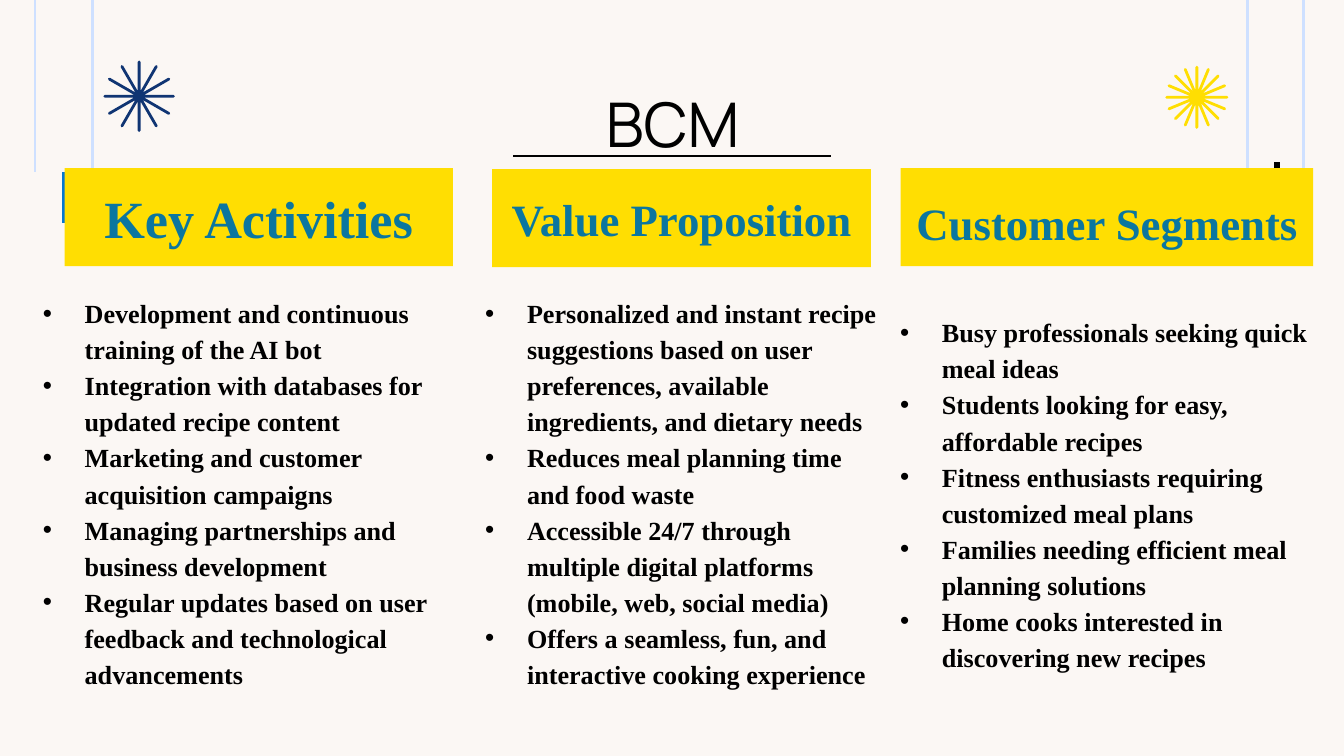
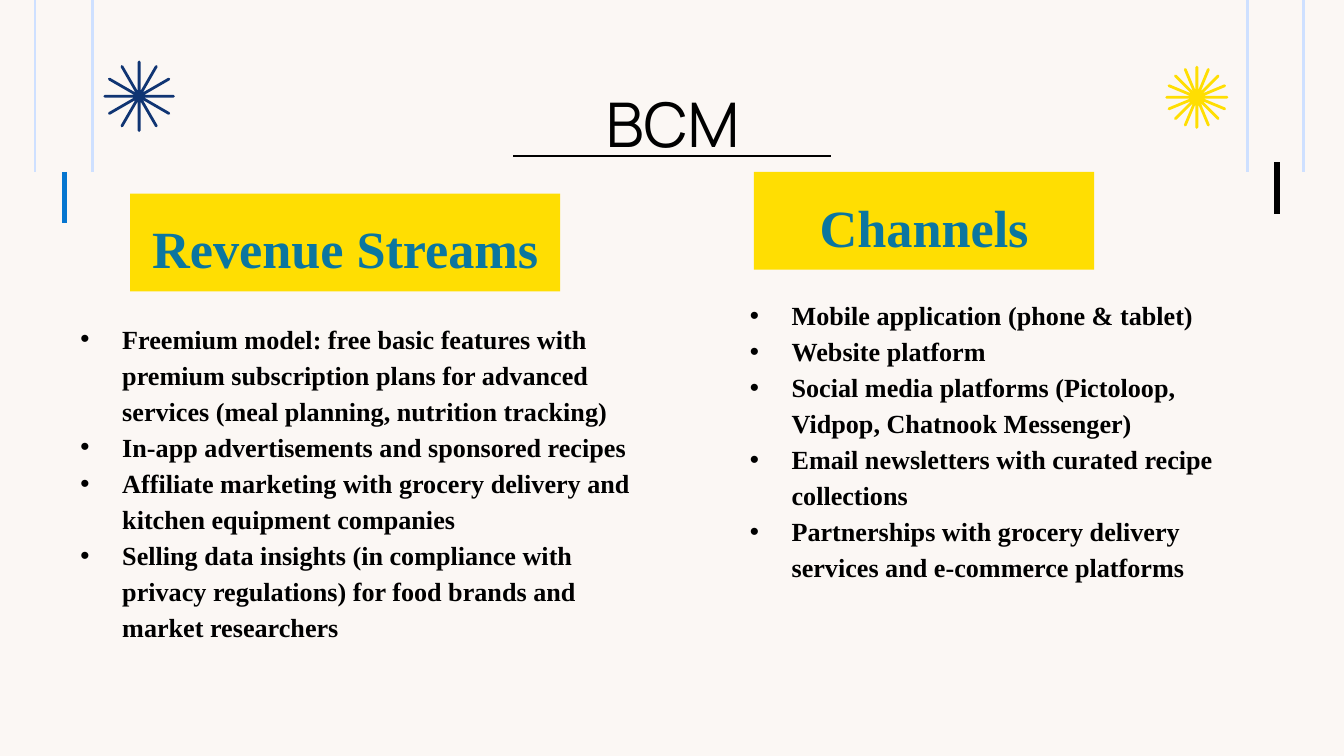
from dataclasses import dataclass

from lxml import etree
from pptx import Presentation
from pptx import util as u
from pptx.dml import color
from pptx.enum import shapes, text
from pptx.oxml import ns


@dataclass(frozen=True)
class Theme:
    paper: str = "FBF7F4"
    ink: str = "000000"
    yellow: str = "FFDE02"
    teal: str = "0B769F"
    navy: str = "103573"
    blue: str = "0676D0"
    pale: str = "CEE0FF"
    sans: str = "Manrope"
    serif: str = "Times New Roman"
    title: int = 33
    head: int = 28
    small: int = 24
    body: int = 14
    thin: float = 1.5
    thick: float = 3


def rgb(code):
    return color.RGBColor.from_string(code)


class Deck:
    def __init__(self, theme):
        self.theme = theme
        self.prs = Presentation()
        self.prs.slide_width, self.prs.slide_height = u.Cm(25.4), u.Cm(14.29)
        fill = self.prs.slide_master.background.fill
        fill.solid()
        fill.fore_color.rgb = rgb(theme.paper)

    def page(self, title):
        """Start a slide with the title and shared ornaments."""
        t = self.theme
        layout = self.prs.slide_layouts.get_by_name("Comparison")
        self.slide = self.prs.slides.add_slide(layout)
        self.free = [ph for ph in self.slide.placeholders
                     if ph.placeholder_format.idx > 0]
        # Side rails and accents
        for x in (0.66, 1.75, 23.57, 24.64):
            self.line(x, 0, x, 3.25, t.pale, t.thin)
        self.line(24.13, 3.07, 24.13, 4.04, t.ink, t.thick)
        self.line(1.22, 3.25, 1.22, 4.22, t.blue, t.thick)
        # Title and its rule
        self.title(title)
        self.line(9.7, 2.95, 15.7, 2.95, t.ink, t.thin)
        # Starbursts
        kind = shapes.MSO_SHAPE
        self.star(kind.STAR_12_POINT, 1.98, 1.17, 1.3, t.navy)
        self.star(kind.STAR_16_POINT, 22.05, 1.27, 1.14, t.yellow)

    def place(self, shape, x, y, w, h):
        shape.left, shape.top = u.Cm(x), u.Cm(y)
        shape.width, shape.height = u.Cm(w), u.Cm(h)

    def frame(self, shape, anchor, side, top, base):
        frame = shape.text_frame
        frame.word_wrap = True
        frame.auto_size = text.MSO_AUTO_SIZE.NONE
        frame.vertical_anchor = anchor
        frame.margin_left = frame.margin_right = u.Cm(side)
        frame.margin_top, frame.margin_bottom = u.Cm(top), u.Cm(base)
        return frame

    def style(self, para, name, size, ink, bold=False):
        font = para.font
        font.name, font.size, font.bold = name, u.Pt(size), bold
        font.color.rgb = rgb(ink)

    def line(self, x1, y1, x2, y2, ink, width):
        line = self.slide.shapes.add_connector(
            shapes.MSO_CONNECTOR.STRAIGHT,
            u.Cm(x1), u.Cm(y1), u.Cm(x2), u.Cm(y2))
        line.line.color.rgb = rgb(ink)
        line.line.width = u.Pt(width)
        etree.SubElement(line.element.spPr, ns.qn("a:effectLst"))

    def star(self, kind, x, y, size, ink):
        star = self.slide.shapes.add_shape(
            kind, u.Cm(x), u.Cm(y), u.Cm(size), u.Cm(size))
        star.adjustments[0] = 0
        star.shadow.inherit = False
        star.fill.background()
        star.line.color.rgb = rgb(ink)
        star.line.width = u.Pt(self.theme.thin)

    def title(self, words):
        t, shape = self.theme, self.slide.shapes.title
        self.place(shape, 2.01, 1.5, 21.41, 1.42)
        frame = self.frame(shape, text.MSO_ANCHOR.TOP, 0.25, 0.13, 0.25)
        para = frame.paragraphs[0]
        para.text = words
        para.alignment = text.PP_ALIGN.CENTER
        self.style(para, t.sans, t.title, t.ink)

    def head(self, words, x, y, w, size, drop=0):
        """Add a yellow heading band; drop lowers its words."""
        t = self.theme
        band = self.slide.shapes.add_shape(
            shapes.MSO_SHAPE.RECTANGLE, u.Cm(x), u.Cm(y), u.Cm(w), u.Cm(1.85))
        band.shadow.inherit = False
        band.fill.solid()
        band.fill.fore_color.rgb = rgb(t.yellow)
        band.line.fill.background()
        frame = self.frame(band, text.MSO_ANCHOR.MIDDLE, 0.25, 0.25 + drop, 0.25)
        para = frame.paragraphs[0]
        para.text = words
        para.alignment = text.PP_ALIGN.CENTER
        self.style(para, t.serif, size, t.teal, True)

    def list(self, items, x, y, w, h):
        """Fill the next body placeholder with bullets."""
        t, shape = self.theme, self.free.pop(0)
        self.place(shape, x, y, w, h)
        frame = self.frame(shape, text.MSO_ANCHOR.TOP, 0.25, 0.13, 0.13)
        frame.text = "\n".join(items)
        for para in frame.paragraphs:
            self.bullet(para)
            para.alignment = text.PP_ALIGN.LEFT
            para.line_spacing = 1.15
            para.space_before = para.space_after = u.Pt(0)
            self.style(para, t.serif, t.body, t.ink, True)
        para.space_after = u.Pt(10)

    def bullet(self, para):
        props = para._p.get_or_add_pPr()
        props.set("marL", str(u.Cm(0.79)))
        props.set("indent", str(-u.Cm(0.79)))
        tint = etree.SubElement(props, ns.qn("a:buClr"))
        etree.SubElement(tint, ns.qn("a:srgbClr"), val=self.theme.ink)
        etree.SubElement(props, ns.qn("a:buFont"), typeface="Arial")
        etree.SubElement(props, ns.qn("a:buChar"), char="•")

    def close(self):
        """Remove the placeholders left empty."""
        for ph in self.free:
            ph.element.getparent().remove(ph.element)


def main():
    t = Theme()
    deck = Deck(t)

    # Activities, value and customers
    deck.page("BCM")
    deck.head("Key Activities", 1.22, 3.18, 7.34, t.head)
    deck.list([
        "Development and continuous training of the AI bot",
        "Integration with databases for updated recipe content",
        "Marketing and customer acquisition campaigns",
        "Managing partnerships and business development",
        "Regular updates based on user feedback and technological advancements",
    ], 0.56, 5.41, 8.81, 7.77)
    deck.head("Value Proposition", 9.3, 3.2, 7.16, t.small)
    deck.list([
        "Personalized and instant recipe suggestions based on user "
        "preferences, available ingredients, and dietary needs",
        "Reduces meal planning time and food waste",
        "Accessible 24/7 through multiple digital platforms "
        "(mobile, web, social media)",
        "Offers a seamless, fun, and interactive cooking experience",
    ], 8.92, 5.41, 7.9, 7.82)
    deck.head("Customer Segments", 17.02, 3.18, 7.8, t.small, 0.2)
    deck.list([
        "Busy professionals seeking quick meal ideas",
        "Students looking for easy, affordable recipes",
        "Fitness enthusiasts requiring customized meal plans",
        "Families needing efficient meal planning solutions",
        "Home cooks interested in discovering new recipes",
    ], 16.76, 5.77, 8.64, 7.09)
    deck.close()

    # Revenue and channels
    deck.page("BCM")
    deck.head("Revenue Streams", 2.46, 3.66, 8.13, t.head, 0.2)
    deck.list([
        "Freemium model: free basic features with premium subscription plans "
        "for advanced services (meal planning, nutrition tracking)",
        "In-app advertisements and sponsored recipes",
        "Affiliate marketing with grocery delivery and kitchen equipment "
        "companies",
        "Selling data insights (in compliance with privacy regulations) "
        "for food brands and market researchers",
    ], 1.27, 5.89, 11.43, 6.45)
    deck.head("Channels", 14.25, 3.25, 6.43, t.head, 0.2)
    deck.list([
        "Mobile application (phone & tablet)",
        "Website platform",
        "Social media platforms (Pictoloop, Vidpop, Chatnook Messenger)",
        "Email newsletters with curated recipe collections",
        "Partnerships with grocery delivery services and e-commerce platforms",
    ], 13.92, 5.44, 9.98, 5.77)
    deck.close()

    deck.prs.save("out.pptx")


if __name__ == "__main__":
    main()
